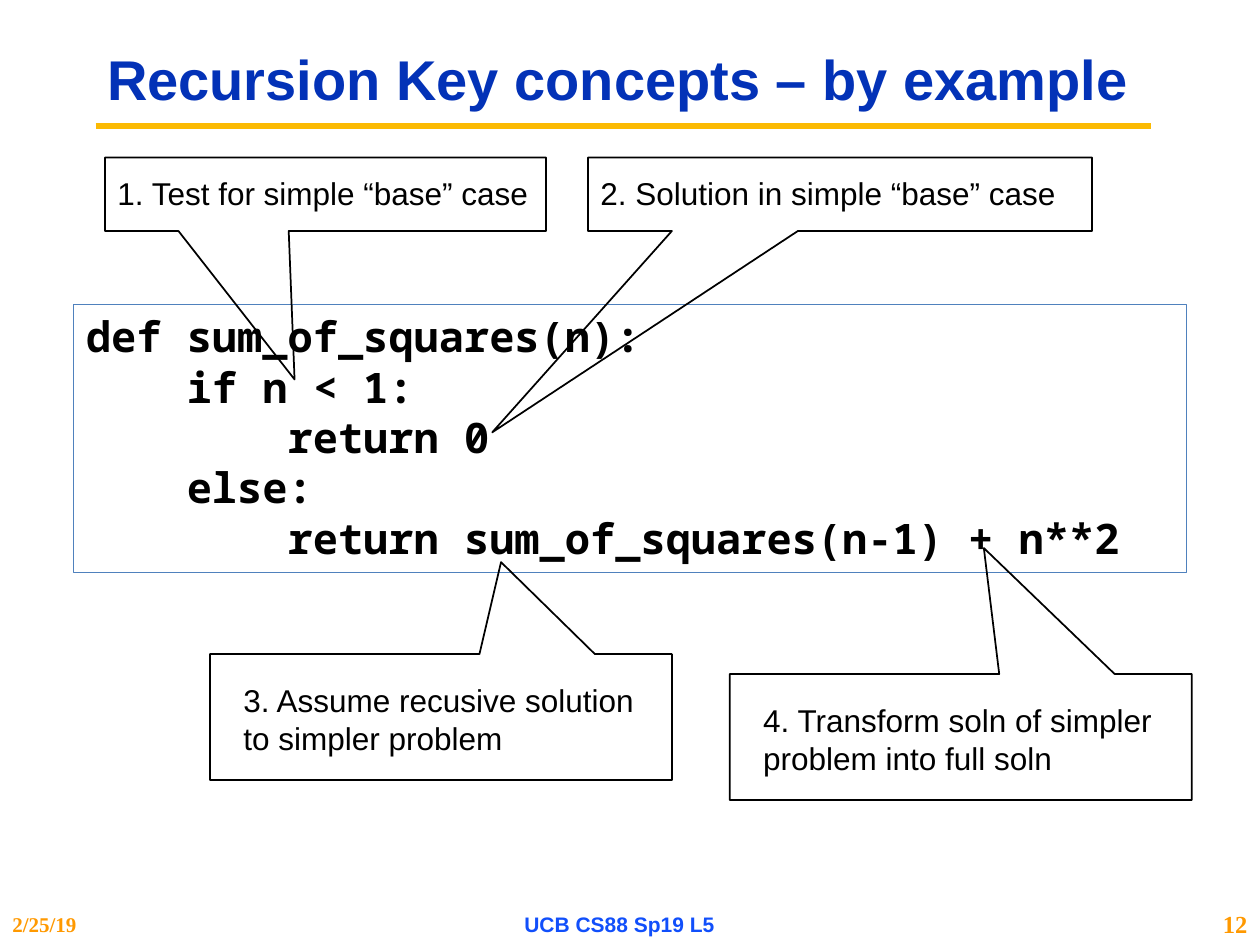
import dataclasses

import pptx
import pptx.dml.color
import pptx.enum.shapes
import pptx.enum.text
import pptx.oxml.ns
import pptx.util
from lxml import etree

Align = pptx.enum.text.PP_ALIGN
Anchor = pptx.enum.text.MSO_ANCHOR
Shape = pptx.enum.shapes.MSO_SHAPE

CELL = 1 / 12  # grid step in inches: 120 columns by 90 rows
CODE = """def sum_of_squares(n):
    if n < 1:
        return 0
    else:
        return sum_of_squares(n-1) + n**2"""


@dataclasses.dataclass
class Box:
    col: float
    row: float
    cols: float
    rows: float

    def place(self) -> list:
        return [grid(n) for n in (self.col, self.row, self.cols, self.rows)]

    def inset(self, dx: float, dy: float, rows: float) -> "Box":
        return Box(self.col + dx, self.row + dy, self.cols - 2 * dx, rows)


@dataclasses.dataclass
class Style:
    font: str
    size: float
    color: str
    bold: bool = True


@dataclasses.dataclass
class Callout:
    text: str
    box: Box
    tip: tuple  # pointer tip from the centre, as shares of the box
    dx: float
    dy: float
    rows: float


@dataclasses.dataclass
class Footer:
    text: str
    box: Box
    align: Align
    style: Style


NOTE = Style("Arial", 18, "000000", False)
NOTES = [
    Callout("1. Test for simple “base” case",
            Box(10, 15, 42, 7), (-0.07, 2.52), 0, 1, 4.8),
    Callout("2. Solution in simple “base” case",
            Box(56, 15, 48, 7), (-0.69, 3.24), 0, 1, 4.8),
    Callout("3. Assume recusive solution to simpler problem",
            Box(20, 62.3, 44, 12), (0.13, -1.23), 2, 2, 8.5),
    Callout("4. Transform soln of simpler problem into full soln",
            Box(69.5, 64.2, 44, 12), (0.05, -1.5), 2, 2, 8.5),
]
FOOTERS = [
    Footer("2/25/19", Box(0, 86, 20, 4), Align.LEFT,
           Style("Times New Roman", 12, "FF9900")),
    Footer("UCB CS88 Sp19 L5", Box(40, 86, 38, 4), Align.CENTER,
           Style("Arial", 12, "114FFB")),
    Footer("12", Box(113, 86, 7, 4), Align.RIGHT,
           Style("Times New Roman", 14, "FF9900")),
]


def grid(n: float) -> int:
    return pptx.util.Inches(n * CELL)


def rgb(code: str) -> pptx.dml.color.RGBColor:
    return pptx.dml.color.RGBColor.from_string(code)


def write(shape, text: str, style: Style, align=Align.LEFT,
          anchor=Anchor.TOP, wrap: bool = True) -> None:
    frame = shape.text_frame
    frame.text = text
    frame.word_wrap = wrap
    frame.auto_size = pptx.enum.text.MSO_AUTO_SIZE.NONE
    frame.vertical_anchor = anchor
    for para in frame.paragraphs:
        para.alignment = align
        for run in para.runs:
            run.font.name = style.font
            run.font.size = pptx.util.Pt(style.size)
            run.font.bold = style.bold
            run.font.color.rgb = rgb(style.color)


def outline(shapes, kind, box: Box, color: str, width: float):
    shape = shapes.add_shape(kind, *box.place())
    shape.shadow.inherit = False
    shape.fill.background()
    shape.line.color.rgb = rgb(color)
    shape.line.width = pptx.util.Pt(width)
    return shape


def head(slide) -> None:
    title = slide.shapes.title
    title.left, title.top, title.width, title.height = Box(9, 3, 101, 9.7).place()
    write(title, "Recursion Key concepts – by example",
          Style("Arial", 32, "0332B7"), anchor=Anchor.MIDDLE)
    title.text_frame.paragraphs[0].line_spacing = 0.9

    # Gold rule under the title
    rule = slide.shapes.add_connector(
        pptx.enum.shapes.MSO_CONNECTOR.STRAIGHT,
        grid(9.1), grid(12), grid(109.6), grid(12))
    rule.line.color.rgb = rgb("FBBA03")
    rule.line.width = pptx.util.Pt(3.75)
    etree.SubElement(rule._element.spPr, pptx.oxml.ns.qn("a:effectLst"))


def callout(slide, note: Callout) -> None:
    group = slide.shapes.add_group_shape()
    shape = outline(group.shapes, Shape.RECTANGULAR_CALLOUT, note.box, "000000", 1)
    shape.adjustments[0], shape.adjustments[1] = note.tip
    area = note.box.inset(note.dx, note.dy, note.rows)
    write(group.shapes.add_textbox(*area.place()), note.text, NOTE)


def main() -> None:
    deck = pptx.Presentation()
    deck.slide_width, deck.slide_height = grid(120), grid(90)
    slide = deck.slides.add_slide(deck.slide_layouts.get_by_name("Title Only"))
    head(slide)

    # Code listing
    code = outline(slide.shapes, Shape.RECTANGLE, Box(7, 29, 106, 25.5), "4F81BD", 0.75)
    write(code, CODE, Style("Noto Sans Mono", 24, "000000"))

    # Callouts that point into the code
    for note in NOTES:
        callout(slide, note)

    # Footer line
    for foot in FOOTERS:
        field = slide.shapes.add_textbox(*foot.box.place())
        write(field, foot.text, foot.style, foot.align, Anchor.MIDDLE)

    deck.save("out.pptx")


if __name__ == "__main__":
    main()
